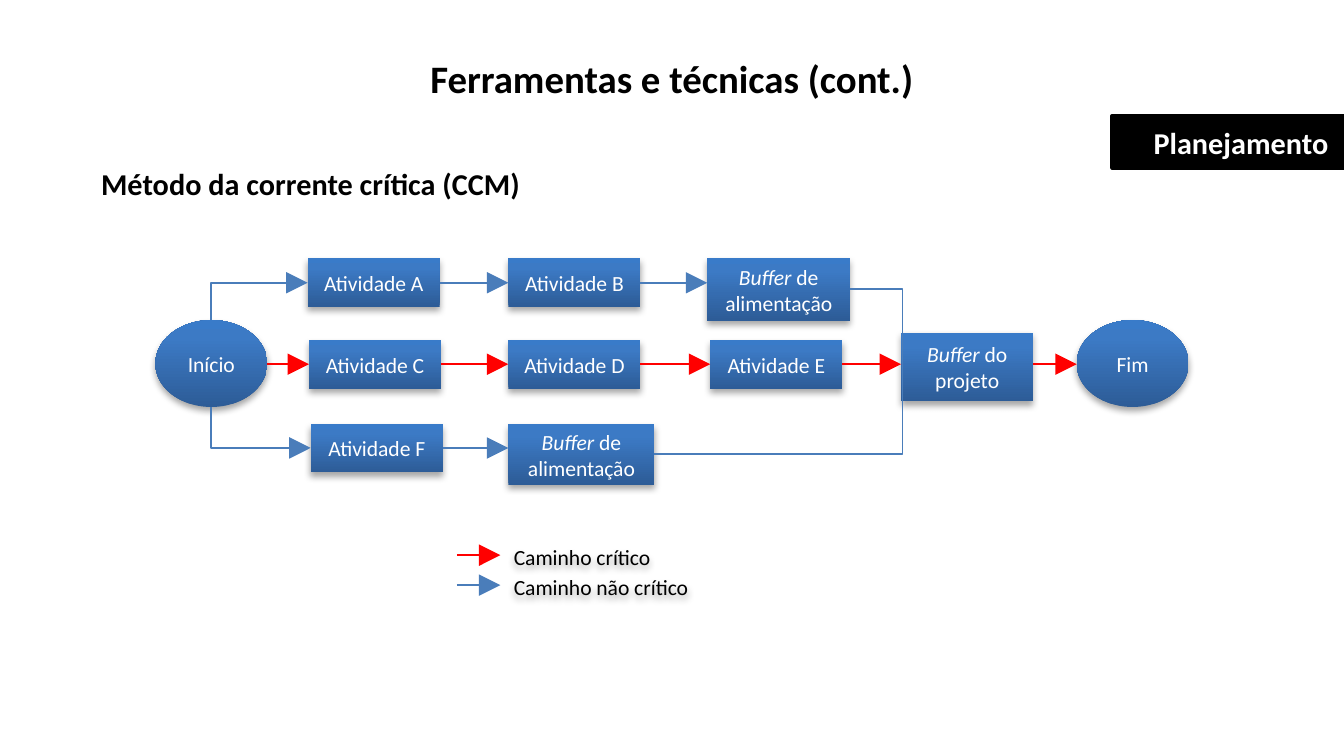
from copy import deepcopy

from pptx import Presentation
from pptx.dml.color import RGBColor
from pptx.enum.shapes import MSO_CONNECTOR, MSO_SHAPE
from pptx.enum.text import MSO_ANCHOR, MSO_AUTO_SIZE, PP_ALIGN
from pptx.oxml import parse_xml
from pptx.oxml.ns import nsdecls, qn
from pptx.util import Cm, Pt

RED, BLUE = "FF0000", "4A7DBA"
SHADE = (
    f'<a:outerShdw {nsdecls("a")} blurRad="40000" dist="23000" dir="5400000" '
    'rotWithShape="0"><a:srgbClr val="000000"><a:alpha val="35000"/>'
    "</a:srgbClr></a:outerShdw>"
)


def write(shape, runs, size, color, bold=False, align=PP_ALIGN.CENTER, shade=False):
    """Fill a shape with (text, italic) runs and set its shadow."""
    para = shape.text_frame.paragraphs[0]
    para.alignment = align
    for text, slant in runs:
        run = para.add_run()
        run.text = text
        font = run.font
        font.name, font.size = "Calibri", Pt(size)
        font.bold, font.italic = bold, slant
        font.color.rgb = RGBColor.from_string(color)
    shape.shadow.inherit = False
    if shade:
        shape.element.spPr.find(qn("a:effectLst")).append(parse_xml(SHADE))


def link(kind, x1, y1, x2, y2, color, tip=None):
    """Draw a connector; tip is the XML name of the end with an arrowhead."""
    wire = slide.shapes.add_connector(kind, Cm(x1), Cm(y1), Cm(x2), Cm(y2))
    wire.line.width = Pt(0.75)
    wire.line.color.rgb = RGBColor.from_string(color)
    props = wire.element.spPr
    if tip:
        props.find(qn("a:ln")).append(parse_xml(
            f'<a:{tip} {nsdecls("a")} type="triangle" w="lg" len="lg"/>'))
    props.append(parse_xml(f'<a:effectLst {nsdecls("a")}/>'))
    return props.find(qn("a:prstGeom"))


deck = Presentation()
deck.slide_width, deck.slide_height = Cm(21.97), Cm(11.91)
slide = deck.slides.add_slide(deck.slide_layouts[5])

# Title, phase tag and heading
title = slide.shapes.title
title.left, title.top, title.width, title.height = Cm(0), Cm(0.76), Cm(21.97), Cm(1.02)
title.text_frame.auto_size = MSO_AUTO_SIZE.NONE
title.text_frame.vertical_anchor = MSO_ANCHOR.MIDDLE
write(title, [("Ferramentas e técnicas (cont.)", False)], 18, "000000", True)

phase = slide.shapes.add_shape(
    MSO_SHAPE.RECTANGLE, Cm(18.18), Cm(1.9), Cm(3.79), Cm(0.84))
phase.fill.solid()
phase.fill.fore_color.rgb = RGBColor.from_string("000000")
phase.line.color.rgb = RGBColor.from_string("000000")
phase.line.width = Pt(2)
write(phase, [("Planejamento", False)], 14, "FFFFFF", True, PP_ALIGN.RIGHT)

heading = slide.shapes.add_textbox(Cm(0.99), Cm(2.57), Cm(7.8), Cm(0.86))
heading.text_frame.word_wrap = True
heading.text_frame.paragraphs[0]._p.get_or_add_pPr().set("marL", str(Cm(0.38)))
write(heading, [("Método da corrente crítica (CCM)", False)], 14, "000000", True)

# Network nodes
OVAL, RECT = MSO_SHAPE.OVAL, MSO_SHAPE.RECTANGLE
TOP, MID, LOW = 4.22, 5.56, 6.93
WIDE, HIGH = 2.16, 0.79
feed = [("Buffer ", True), ("de alimentação", False)]
nodes = [
    (OVAL, 2.54, 5.23, 1.83, 1.42, [("Início", False)]),
    (OVAL, 17.6, 5.23, 1.83, 1.42, [("Fim", False)]),
    (RECT, 5.03, TOP, WIDE, HIGH, [("Atividade A", False)]),
    (RECT, 8.31, TOP, WIDE, HIGH, [("Atividade B", False)]),
    (RECT, 11.56, TOP, 2.34, 1.02, feed),
    (RECT, 5.05, MID, WIDE, HIGH, [("Atividade C", False)]),
    (RECT, 8.31, MID, WIDE, HIGH, [("Atividade D", False)]),
    (RECT, 11.61, MID, WIDE, HIGH, [("Atividade E", False)]),
    (RECT, 14.73, 5.44, WIDE, 1.12, [("Buffer ", True), ("do projeto", False)]),
    (RECT, 5.08, LOW, WIDE, HIGH, [("Atividade F", False)]),
    (RECT, 8.31, LOW, 2.39, 0.99, feed),
]
for form, left, top, width, height, runs in nodes:
    node = slide.shapes.add_shape(form, Cm(left), Cm(top), Cm(width), Cm(height))
    node.text_frame.word_wrap = True
    node.line.fill.background()
    node.fill.gradient()
    node.fill.gradient_angle = 90
    stops = node.element.spPr.find(qn("a:gradFill")).find(qn("a:gsLst"))
    stops.append(deepcopy(stops[-1]))
    tones = [(0, "2D5C97"), (0.8, "3C7AC5"), (1, "397BC9")]
    for stop, (place, tone) in zip(node.fill.gradient_stops, tones):
        stop.position = place
        stop.color.rgb = RGBColor.from_string(tone)
    write(node, runs, 10, "FFFFFF", shade=True)

# Straight arrows, row by row
rows = [
    (5.95, RED, [(4.37, 5.05), (7.21, 8.31), (10.47, 11.61), (13.77, 14.73), (16.89, 17.6)]),
    (4.62, BLUE, [(7.19, 8.31), (10.47, 11.56)]),
    (7.32, BLUE, [(7.24, 8.31)]),
]
for y, color, spans in rows:
    for start, end in spans:
        link(MSO_CONNECTOR.STRAIGHT, start, y, end, y, color, "tailEnd")

# Bent links from the start and into the project buffer
for x, y, edge in [(5.03, 4.62, 5.23), (5.08, 7.32, 6.65)]:
    bend = link(MSO_CONNECTOR.ELBOW, x, y, 3.45, edge, BLUE, "headEnd")
    bend.set("prst", "bentConnector2")
merge = link(MSO_CONNECTOR.ELBOW, 13.9, 4.72, 10.7, 7.42, BLUE)
merge.find(qn("a:avLst")).append(parse_xml(
    f'<a:gd {nsdecls("a")} name="adj1" fmla="val -26700"/>'))

# Legend
keys = [("Caminho crítico", RED, 2.84), ("Caminho não crítico", BLUE, 3.58)]
for i, (label, color, width) in enumerate(keys):
    y = 9.07 + 0.49 * i
    link(MSO_CONNECTOR.STRAIGHT, 7.47, y, 8.18, y, color, "tailEnd")
    key = slide.shapes.add_textbox(Cm(8.15), Cm(y - 0.31), Cm(width), Cm(0.69))
    key.text_frame.word_wrap = True
    write(key, [(label, False)], 10, "000000", align=PP_ALIGN.LEFT, shade=True)

deck.save("out.pptx")
